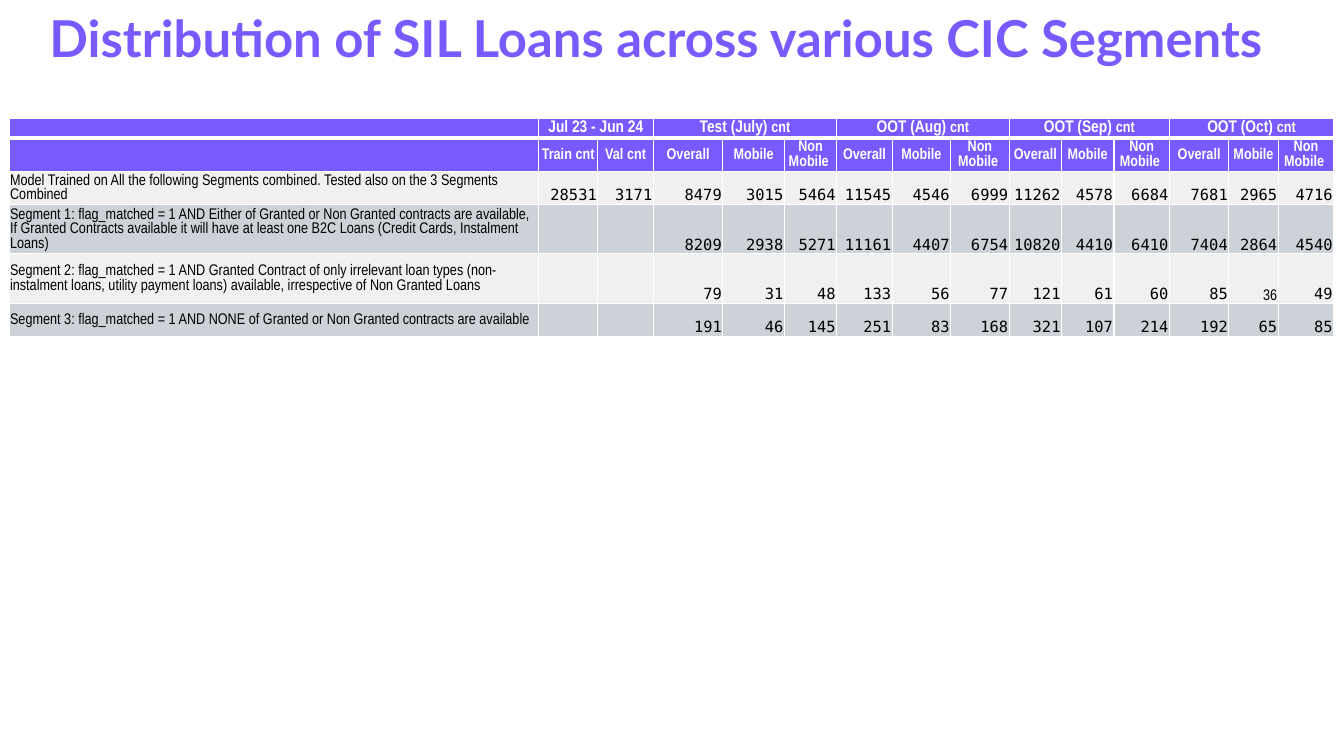
from pptx import Presentation, util as u
from pptx.dml import color
from pptx.enum import text as t
from pptx.oxml import parse_xml, ns

# Content
TITLE = "Distribution of SIL Loans across various CIC Segments"
GROUPS = [("Jul 23 - Jun 24", "", 2), ("Test (July) ", "cnt", 3),
          ("OOT (Aug) ", "cnt", 3), ("OOT (Sep) ", "cnt", 3),
          ("OOT (Oct) ", "cnt", 3)]
HEADS = ["", "Train cnt", "Val cnt"] + ["Overall", "Mobile", "Non Mobile "] * 4
ROWS = [
    ("Model Trained on All the following Segments combined. Tested also on "
     "the 3 Segments Combined",
     "28531 3171 8479 3015 5464 11545 4546 6999 11262 4578 6684 7681 2965 4716"),
    ("Segment 1: flag_matched = 1 AND Either of Granted or Non Granted "
     "contracts are available, If Granted Contracts available it will have "
     "at least one B2C Loans (Credit Cards, Instalment Loans)",
     "8209 2938 5271 11161 4407 6754 10820 4410 6410 7404 2864 4540"),
    ("Segment 2: flag_matched = 1 AND Granted Contract of only irrelevant loan "
     "types (non-instalment loans, utility payment loans) available, "
     "irrespective of Non Granted Loans",
     "79 31 48 133 56 77 121 61 60 85 36 49"),
    ("Segment 3: flag_matched = 1 AND NONE of Granted or Non Granted contracts "
     "are available",
     "191 46 145 251 83 168 321 107 214 192 65 85"),
]
WIDTHS = [5.25, 0.59, 0.55, 0.69, 0.61, 0.52, 0.55, 0.58, 0.58, 0.52, 0.52,
          0.55, 0.59, 0.49, 0.55]
HEIGHTS = [0.18, 0.33, 0.33, 0.49, 0.49, 0.33]

# Formats
VIOLET, WHITE, BLACK = "785AFF", "FFFFFF", "000000"
BANDS = ["F0F0F0", "CCD2D8"]
NARROW, MONO = "Arial Narrow", "DejaVu Sans Mono"
PADS = {"margin_left": u.Inches(0.01), "margin_right": u.Inches(0.01),
        "margin_top": u.Inches(0.01), "margin_bottom": 0}
HEAD = {"name": NARROW, "size": u.Pt(11), "bold": True}
LABEL = {"name": NARROW, "size": u.Pt(11), "bold": False}
COUNT = {"name": MONO, "size": u.Pt(11), "bold": False}


def rgb(code):
    return color.RGBColor.from_string(code)


def style(item, form):
    for key, val in form.items():
        setattr(item, key, val)


def write(para, words, form, ink):
    run = para.add_run()
    run.text = words
    style(run.font, form)
    run.font.color.rgb = rgb(ink)


def edge(cell, low):
    props = cell._tc.get_or_add_tcPr()
    sides = [("lnL", 1), ("lnR", 1), ("lnT", 1), ("lnB", low)]
    for spot, (side, wide) in enumerate(sides):
        props.insert(spot, parse_xml(
            f'<a:{side} {ns.nsdecls("a")} w="{u.Pt(wide)}"><a:solidFill>'
            f'<a:srgbClr val="{WHITE}"/></a:solidFill></a:{side}>'))


prs = Presentation()
prs.slide_width, prs.slide_height = u.Inches(13.33), u.Inches(7.5)
slide = prs.slides.add_slide(prs.slide_layouts[5])

# Table with fills, borders and padding
grid = slide.shapes.add_table(
    len(HEIGHTS), len(WIDTHS), u.Inches(0.09), u.Inches(1.17),
    u.Inches(sum(WIDTHS)), u.Inches(sum(HEIGHTS))).table
for col, wide in zip(grid.columns, WIDTHS):
    col.width = u.Inches(wide)
for row, (line, high) in enumerate(zip(grid.rows, HEIGHTS)):
    line.height = u.Inches(high)
    for cell in line.cells:
        style(cell, PADS)
        cell.vertical_anchor = t.MSO_ANCHOR.MIDDLE
        cell.fill.solid()
        cell.fill.fore_color.rgb = rgb(VIOLET if row < 2 else BANDS[row % 2])
        edge(cell, 1 if row else 3)
        # Small end mark keeps empty cells from growing
        mark = cell.text_frame.paragraphs[0]._p.get_or_add_endParaRPr()
        mark.set("sz", "1100")

# Header rows
col = 1
for name, unit, span in GROUPS:
    cell = grid.cell(0, col)
    cell.merge(grid.cell(0, col + span - 1))
    para = cell.text_frame.paragraphs[0]
    para.alignment = t.PP_ALIGN.CENTER
    write(para, name, HEAD | {"size": u.Pt(12)}, WHITE)
    if unit:
        write(para, unit, HEAD, WHITE)
    col += span
for col, name in enumerate(HEADS):
    if name:
        para = grid.cell(1, col).text_frame.paragraphs[0]
        para.alignment = t.PP_ALIGN.CENTER
        write(para, name, HEAD, WHITE)

# Body rows, counts set flush with the last column
for row, (label, counts) in enumerate(ROWS, 2):
    write(grid.cell(row, 0).text_frame.paragraphs[0], label, LABEL, BLACK)
    counts = counts.split()
    for col, count in enumerate(counts, len(WIDTHS) - len(counts)):
        cell = grid.cell(row, col)
        cell.vertical_anchor = t.MSO_ANCHOR.BOTTOM
        para = cell.text_frame.paragraphs[0]
        para.alignment = t.PP_ALIGN.RIGHT
        write(para, count, LABEL if count == "36" else COUNT, BLACK)

# Title
title = slide.shapes.title
style(title, {"left": u.Inches(0.39), "top": u.Inches(0.15),
              "width": u.Inches(12.7), "height": u.Inches(0.59)})
style(title.text_frame, {"word_wrap": True, "auto_size": t.MSO_AUTO_SIZE.NONE,
                         "vertical_anchor": t.MSO_ANCHOR.MIDDLE})
para = title.text_frame.paragraphs[0]
style(para, {"alignment": t.PP_ALIGN.LEFT, "line_spacing": 0.7})
write(para, TITLE, {"name": "Lato", "size": u.Pt(36.3), "bold": True}, VIOLET)

prs.save("out.pptx")
